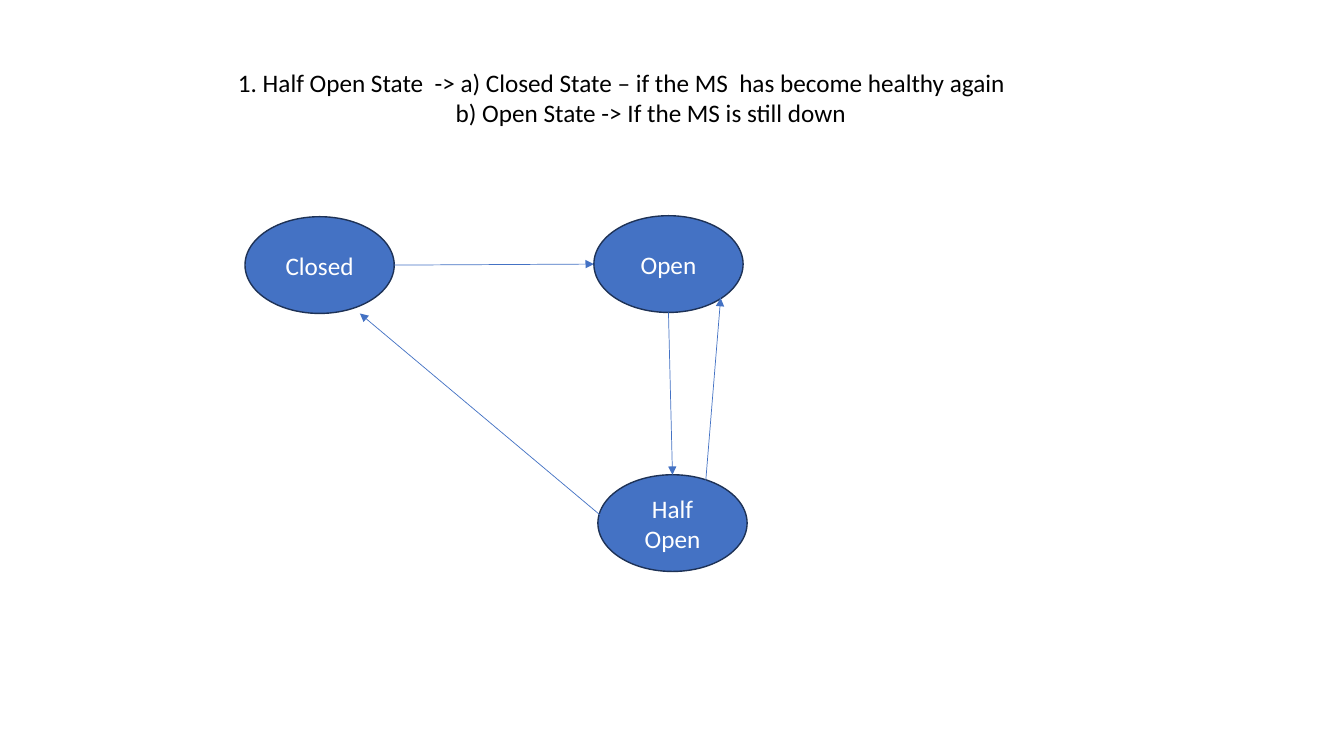
from lxml import etree
from pptx import Presentation
from pptx.dml.color import RGBColor
from pptx.enum import shapes, text
from pptx.oxml.ns import qn
from pptx.util import Inches, Pt

BLUE = RGBColor(0x44, 0x72, 0xC4)
NAVY = RGBColor(0x1E, 0x32, 0x56)
WHITE = RGBColor(0xFF, 0xFF, 0xFF)
BLACK = RGBColor(0, 0, 0)
FONT = {"name": "Calibri", "size": Pt(18), "bold": False}
STATE_W, STATE_H = 1.48, 0.96


def add_text(p, words, color):
    r = p.add_run()
    r.text = words
    for key, value in FONT.items():
        setattr(r.font, key, value)
    r.font.color.rgb = color


def add_heading(s, x, y, w, h):
    sp = s.shapes.title
    box = {"left": x, "top": y, "width": w, "height": h}
    for key, value in box.items():
        setattr(sp, key, Inches(value))
    tf = sp.text_frame
    layout = {"word_wrap": True, "vertical_anchor": text.MSO_ANCHOR.TOP,
              "auto_size": text.MSO_AUTO_SIZE.NONE}
    for key, value in layout.items():
        setattr(tf, key, value)
    lines = [
        ("1. Half Open State  -> a) Closed State – if the MS  has become healthy again", 0),
        ("b) Open State -> If the MS is still down", 2.16),
    ]
    for i, (words, indent) in enumerate(lines):
        p = tf.add_paragraph() if i else tf.paragraphs[0]
        p.alignment = text.PP_ALIGN.LEFT
        p._p.get_or_add_pPr().set("marL", str(Inches(indent)))
        add_text(p, words, BLACK)


def add_state(s, name, x, y):
    sp = s.shapes.add_shape(shapes.MSO_SHAPE.OVAL, Inches(x), Inches(y),
                            Inches(STATE_W), Inches(STATE_H))
    sp.shadow.inherit = False
    sp.fill.solid()
    sp.fill.fore_color.rgb = BLUE
    sp.line.color.rgb = NAVY
    sp.line.width = Pt(1)
    tf = sp.text_frame
    tf.word_wrap = True
    tf.vertical_anchor = text.MSO_ANCHOR.MIDDLE
    p = tf.paragraphs[0]
    p.alignment = text.PP_ALIGN.CENTER
    add_text(p, name, WHITE)


def add_arrow(s, x1, y1, x2, y2):
    c = s.shapes.add_connector(shapes.MSO_CONNECTOR.STRAIGHT, Inches(x1),
                               Inches(y1), Inches(x2), Inches(y2))
    c.line.color.rgb = BLUE
    c.line.width = Pt(0.5)
    etree.SubElement(c.line._get_or_add_ln(), qn("a:tailEnd"), type="triangle")
    etree.SubElement(c._element.spPr, qn("a:effectLst"))


def add_diagram(s, x, y):
    # States, placed from the diagram's top left corner
    closed = (x, y + 0.01)
    opened = (x + 3.46, y)
    half = (x + 3.5, y + 2.57)
    for name, at in (("Closed", closed), ("Open", opened), ("Half Open", half)):
        add_state(s, name, *at)

    # Transitions: state and fraction of its width and height at each end
    for a, ax, ay, b, bx, by in (
        (closed, 1, 0.5, opened, 0, 0.5),
        (opened, 0.5, 1, half, 0.5, 0),
        (half, 0.08, 0.5, closed, 0.77, 1),
        (half, 0.72, 0.12, opened, 0.85, 0.85),
    ):
        add_arrow(s, a[0] + ax * STATE_W, a[1] + ay * STATE_H,
                  b[0] + bx * STATE_W, b[1] + by * STATE_H)


def main():
    prs = Presentation()
    prs.slide_width, prs.slide_height = Inches(13.33), Inches(7.5)
    s = prs.slides.add_slide(prs.slide_layouts[5])
    add_heading(s, 2.26, 0.62, 8.74, 0.71)
    add_diagram(s, 2.43, 2.14)
    prs.save("out.pptx")


if __name__ == "__main__":
    main()
